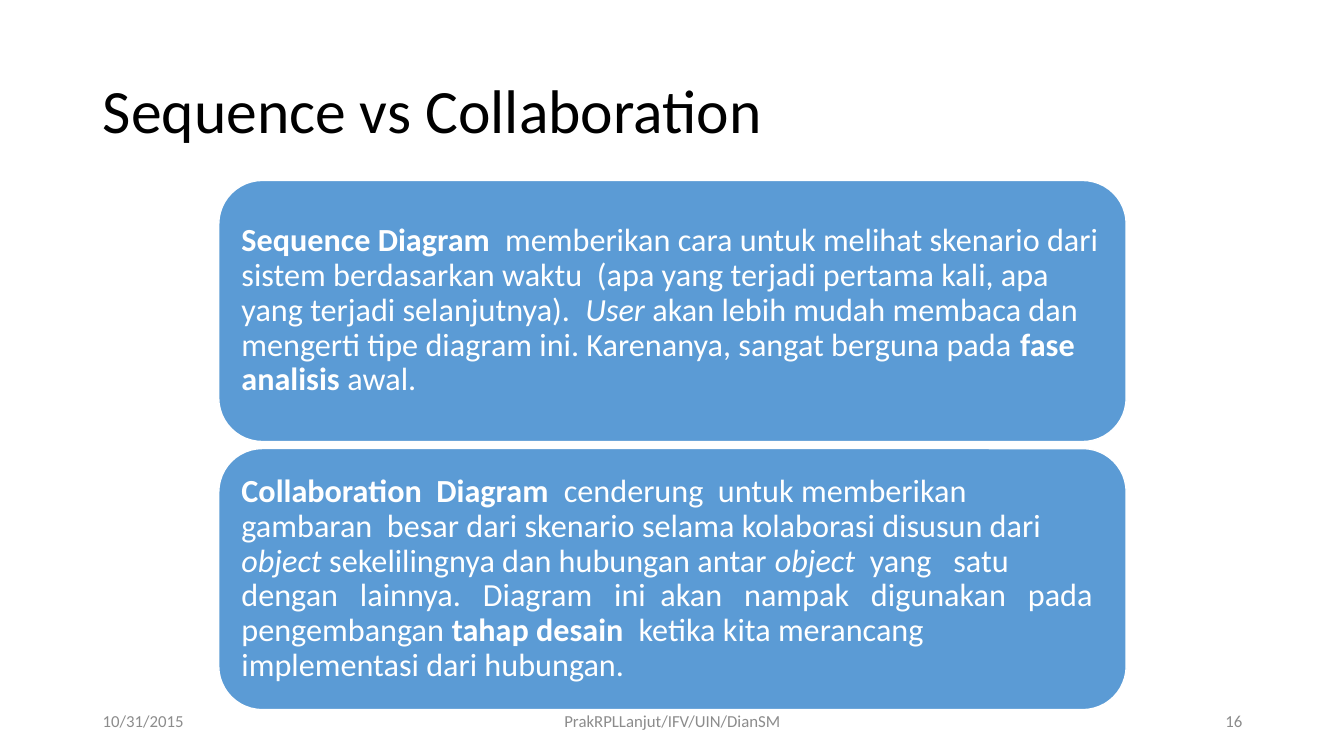
"""Build the slide that compares sequence and collaboration diagrams."""
from dataclasses import dataclass

import pptx
import pptx.dml.color
import pptx.enum.shapes
import pptx.enum.text
import pptx.util

Inches = pptx.util.Inches
Align = pptx.enum.text.PP_ALIGN
Anchor = pptx.enum.text.MSO_ANCHOR

COLORS = {"title": "000000", "card": "5B9BD5", "white": "FFFFFF", "foot": "8C8C8C"}
FONT = "Calibri"


@dataclass
class Part:
    """A stretch of text in one style."""
    text: str
    bold: bool = False
    slant: bool = False


@dataclass
class Foot:
    """A small text at the foot of the slide."""
    text: str
    left: float
    width: float
    align: Align


CARDS = [
    [
        Part("Sequence Diagram  ", bold=True),
        Part("memberikan cara untuk melihat skenario dari sistem berdasarkan waktu  "
             "(apa yang terjadi pertama kali, apa yang terjadi selanjutnya).  "),
        Part("User ", slant=True),
        Part("akan lebih mudah membaca dan mengerti tipe diagram ini. "
             "Karenanya, sangat berguna pada "),
        Part("fase analisis ", bold=True),
        Part("awal."),
    ],
    [
        Part("Collaboration  Diagram  ", bold=True),
        Part("cenderung  untuk memberikan  gambaran  besar dari skenario "
             "selama kolaborasi disusun dari "),
        Part("object ", slant=True),
        Part("sekelilingnya dan hubungan antar "),
        Part("object  ", slant=True),
        Part("yang   satu  dengan   lainnya.   Diagram   ini  akan   nampak   "
             "digunakan   pada pengembangan "),
        Part("tahap desain  ", bold=True),
        Part("ketika kita merancang implementasi dari hubungan."),
    ],
]
FEET = [
    Foot("10/31/2015", 0.92, 3, Align.LEFT),
    Foot("PrakRPLLanjut/IFV/UIN/DianSM", 4.42, 4.5, Align.CENTER),
    Foot("16", 9.42, 3, Align.RIGHT),
]


def tint(name: str) -> pptx.dml.color.RGBColor:
    """Return the named colour."""
    return pptx.dml.color.RGBColor.from_string(COLORS[name])


def style(run, size: float, color: str) -> None:
    """Set the font, size and colour of a run."""
    run.font.name = FONT
    run.font.size = pptx.util.Pt(size)
    run.font.color.rgb = tint(color)


def add_title(slide, text: str) -> None:
    """Place and fill the title."""
    title = slide.shapes.title
    title.left, title.top = Inches(0.92), Inches(0.4)
    title.width, title.height = Inches(11.5), Inches(1.45)
    frame = title.text_frame
    frame.text = text
    frame.vertical_anchor = Anchor.MIDDLE
    para = frame.paragraphs[0]
    para.alignment = Align.LEFT
    para.line_spacing = 0.9
    style(para.runs[0], 44, "title")


def add_card(slide, top: float, parts: list[Part]) -> None:
    """Draw a rounded card with its text."""
    card = slide.shapes.add_shape(
        pptx.enum.shapes.MSO_SHAPE.ROUNDED_RECTANGLE,
        Inches(2.17), Inches(top), Inches(9), Inches(2.59))
    card.shadow.inherit = False
    card.fill.solid()
    card.fill.fore_color.rgb = tint("card")
    card.line.color.rgb = tint("white")
    card.line.width = pptx.util.Pt(1)
    frame = card.text_frame
    frame.word_wrap = True
    frame.vertical_anchor = Anchor.MIDDLE
    frame.margin_left = frame.margin_right = Inches(0.1)
    frame.margin_top = frame.margin_bottom = Inches(0.1)
    para = frame.paragraphs[0]
    para.alignment = Align.LEFT
    para.line_spacing = 0.9
    for part in parts:
        run = para.add_run()
        run.text = part.text
        style(run, 23, "white")
        run.font.bold = part.bold
        run.font.italic = part.slant


def add_foot(slide, foot: Foot) -> None:
    """Add one text of the footer row."""
    box = slide.shapes.add_textbox(
        Inches(foot.left), Inches(6.95), Inches(foot.width), Inches(0.4))
    frame = box.text_frame
    frame.word_wrap = True
    frame.vertical_anchor = Anchor.MIDDLE
    frame.text = foot.text
    para = frame.paragraphs[0]
    para.alignment = foot.align
    style(para.runs[0], 12, "foot")


def main() -> None:
    """Build and save the slide."""
    deck = pptx.Presentation()
    deck.slide_width, deck.slide_height = Inches(13.33), Inches(7.5)
    slide = deck.slides.add_slide(deck.slide_layouts[5])
    add_title(slide, "Sequence vs Collaboration")
    for row, parts in enumerate(CARDS):
        add_card(slide, 1.79 + row * 2.66, parts)
    for foot in FEET:
        add_foot(slide, foot)
    deck.save("out.pptx")


if __name__ == "__main__":
    main()
